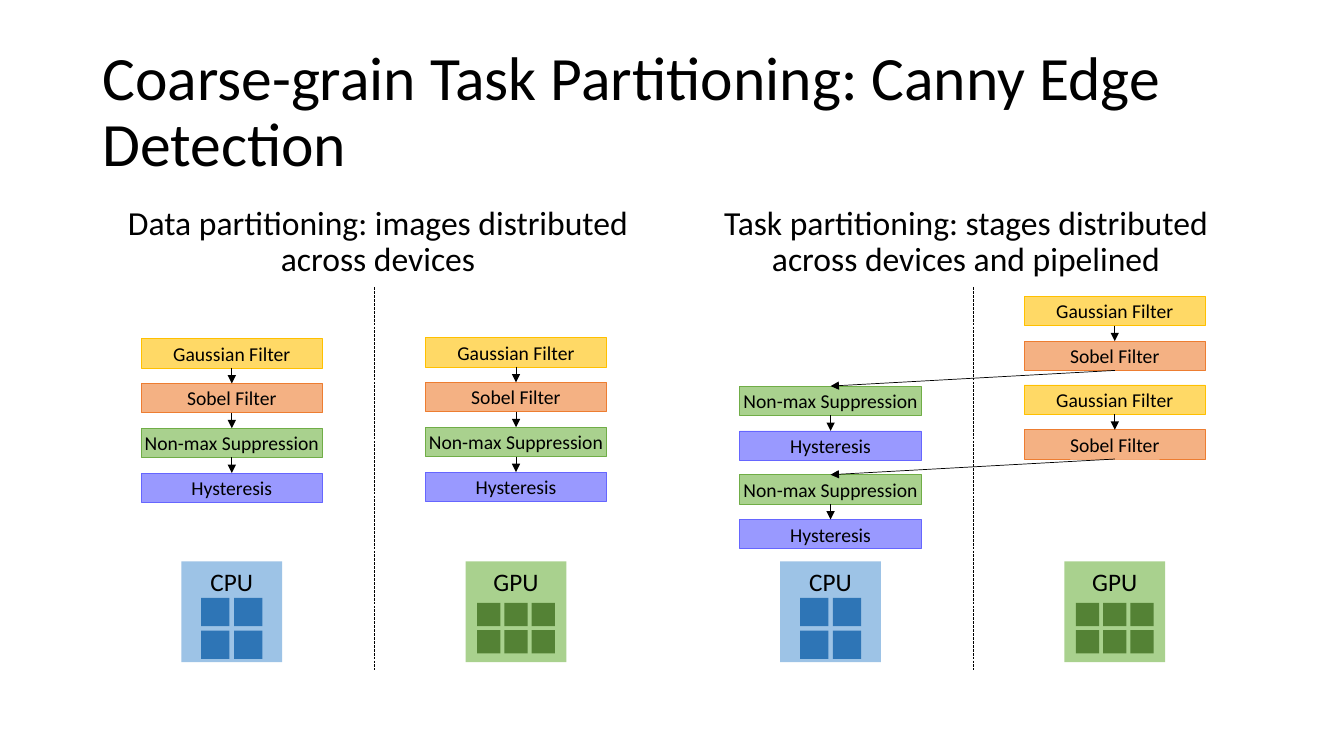
from itertools import pairwise, product

from lxml.etree import SubElement
from pptx import Presentation
from pptx.dml.color import RGBColor
from pptx.enum.dml import MSO_LINE
from pptx.enum.shapes import MSO_CONNECTOR, MSO_SHAPE
from pptx.enum.text import MSO_ANCHOR as Anchor, PP_ALIGN as Align
from pptx.oxml.ns import qn
from pptx.util import Pt

COLORS = {
    "black": "000000",
    "cpu": "9DC3E6",
    "cpu core": "2E75B6",
    "gpu": "A9D18E",
    "gpu core": "548235",
}
STAGES = {
    "Gaussian Filter": ("FFD966", "FFC000"),
    "Sobel Filter": ("F4B183", "ED7D31"),
    "Non-max Suppression": ("A9D18E", "70AD47"),
    "Hysteresis": ("9999FF", "6666FF"),
}
NAMES = list(STAGES)
FRONT, BACK = NAMES[:2], NAMES[2:]

COLUMN_OFFSET = 101.5
STAGE_WIDTH, STAGE_HEIGHT, STAGE_PITCH = 129.6, 20.9, 32
DEVICE_TOP, DEVICE_SIZE = 401, 72


class SlideBuilder:
    font = "Calibri"

    def __init__(self, slide):
        self.slide = slide
        self.shapes = slide.shapes

    def start_group(self):
        self.shapes = self.slide.shapes.add_group_shape().shapes

    def fill_text(self, frame, words, size, align):
        frame.word_wrap = True
        para = frame.paragraphs[0]
        para.text = words
        para.alignment = align
        para.font.name = self.font
        para.font.size = Pt(size)
        para.font.color.rgb = RGBColor.from_string(COLORS["black"])
        return para

    def text(self, words, left, top, width, height, size, align=Align.LEFT, anchor=Anchor.TOP, before=0):
        box = self.slide.shapes.add_textbox(Pt(left), Pt(top), Pt(width), Pt(height))
        box.text_frame.vertical_anchor = anchor
        para = self.fill_text(box.text_frame, words, size, align)
        para.line_spacing = 0.9
        para.space_before = Pt(before)

    def rectangle(self, left, top, width, height, fill, outline=None):
        box = self.shapes.add_shape(MSO_SHAPE.RECTANGLE, Pt(left), Pt(top), Pt(width), Pt(height))
        box.shadow.inherit = False
        box.fill.solid()
        box.fill.fore_color.rgb = RGBColor.from_string(fill)
        if outline:
            box.line.color.rgb = RGBColor.from_string(outline)
            box.line.width = Pt(0.5)
        else:
            box.line.fill.background()
        return box

    def line(self, x1, y1, x2, y2, width):
        line = self.shapes.add_connector(MSO_CONNECTOR.STRAIGHT, Pt(x1), Pt(y1), Pt(x2), Pt(y2))
        line.line.color.rgb = RGBColor.from_string(COLORS["black"])
        line.line.width = Pt(width)
        SubElement(line._element.spPr, qn("a:effectLst"))
        return line

    def divider(self, x):
        self.line(x, 205.2, x, 478.8, 0.25).line.dash_style = MSO_LINE.LONG_DASH

    def arrow(self, source, target):
        start_x, end_x = (box.left + box.width // 2 for box in (source, target))
        arrow = self.line(start_x.pt if hasattr(start_x, "pt") else start_x / Pt(1),
                          (source.top + source.height) / Pt(1), end_x / Pt(1), target.top / Pt(1), 0.5)
        arrow.begin_connect(source, 2)
        arrow.end_connect(target, 0)
        SubElement(arrow.line._get_or_add_ln(), qn("a:tailEnd"), type="triangle")

    def stage(self, name, center, top):
        box = self.rectangle(center - STAGE_WIDTH / 2, top, STAGE_WIDTH, STAGE_HEIGHT, *STAGES[name])
        frame = box.text_frame
        frame.margin_left = frame.margin_right = frame.margin_top = frame.margin_bottom = 0
        frame.vertical_anchor = Anchor.MIDDLE
        self.fill_text(frame, name, 14, Align.CENTER)
        return box

    def chain(self, names, center, top):
        boxes = [self.stage(name, center, top + row * STAGE_PITCH) for row, name in enumerate(names)]
        for source, target in pairwise(boxes):
            self.arrow(source, target)
        return boxes

    def device(self, kind, center, columns, core, pitch, core_top):
        box = self.rectangle(center - DEVICE_SIZE / 2, DEVICE_TOP, DEVICE_SIZE, DEVICE_SIZE, COLORS[kind])
        box.text_frame.vertical_anchor = Anchor.TOP
        self.fill_text(box.text_frame, kind.upper(), 18, Align.CENTER)
        left = center - ((columns - 1) * pitch + core) / 2
        for row, column in product(range(2), range(columns)):
            self.rectangle(left + column * pitch, core_top + row * pitch, core, core, COLORS[f"{kind} core"])

    def panel(self, heading, left, center):
        self.text(heading, left, 144, 408, 342.7, 24, Align.CENTER, before=10)
        self.start_group()
        self.divider(center)
        cpu, gpu = center - COLUMN_OFFSET, center + COLUMN_OFFSET
        self.device("cpu", cpu, columns=2, core=20.2, pitch=23.5, core_top=427)
        self.device("gpu", gpu, columns=3, core=16.6, pitch=19.5, core_top=430.6)
        return cpu, gpu


def main():
    deck = Presentation()
    deck.slide_width, deck.slide_height = Pt(960), Pt(540)
    page = SlideBuilder(deck.slides.add_slide(deck.slide_layouts[6]))
    page.text("Coarse-grain Task Partitioning: Canny Edge Detection", 66, 28.8, 828, 104.4, 44, anchor=Anchor.MIDDLE)

    cpu, gpu = page.panel("Data partitioning: images distributed across devices", 66, 267.1)
    page.chain(NAMES, cpu, 241.9)
    page.chain(NAMES, gpu, 241.2)

    cpu, gpu = page.panel("Task partitioning: stages distributed across devices and pipelined", 486, 694.8)
    for gpu_top, cpu_top in ((211.7, 275.8), (275, 339.1)):
        filters = page.chain(FRONT, gpu, gpu_top)
        finishers = page.chain(BACK, cpu, cpu_top)
        page.arrow(filters[-1], finishers[0])

    deck.save("out.pptx")


if __name__ == "__main__":
    main()
